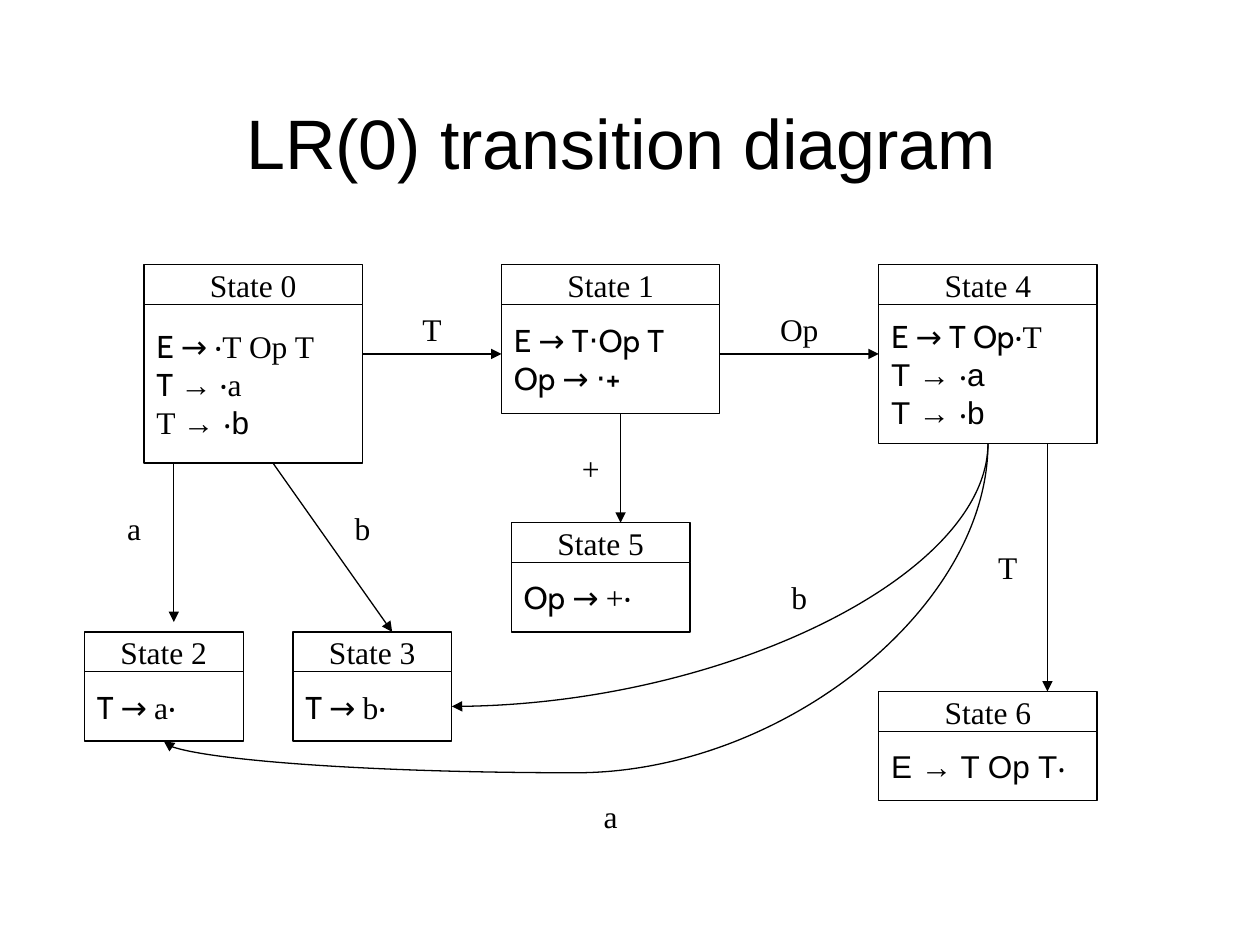
import pptx
import pptx.util
import pptx.dml.color
import pptx.enum.shapes
import pptx.enum.text
import pptx.oxml
import pptx.oxml.ns

BLACK = pptx.dml.color.RGBColor(0, 0, 0)
WHITE = pptx.dml.color.RGBColor(255, 255, 255)
SERIF, SANS, CABIN = "Times New Roman", "Arial", "Cabin"

TITLE = "LR(0) transition diagram"

# All diagram places are (column, row) on a square grid.
LEFT, TOP, CELL = 0.67, 2.1, 0.0788
HEADER_ROWS = 4
LABEL_SIZE = (4, 3)

# name, column, row, columns, body rows, items; an item is a list of (text, font)
STATES = [
    ("State 0", 6, 0, 22, 16, [[("E → ", CABIN), ("‧T Op T", SERIF)],
                               [("T ", CABIN), ("→ ‧a", SERIF)],
                               [("T ", SERIF), ("→ ‧b", SANS)]]),
    ("State 1", 42, 0, 22, 11, [[("E → T‧Op T", CABIN)], [("Op → ‧+", CABIN)]]),
    ("State 4", 80, 0, 22, 14, [[("E → T Op", CABIN), ("‧T", SERIF)],
                                [("T → ‧a", SANS)], [("T → ‧b", SANS)]]),
    ("State 6", 80, 43, 22, 7, [[("E → T Op T‧", SANS)]]),
    ("State 2", 0, 37, 16, 7, [[("T → ", CABIN), ("a‧", SERIF)]]),
    ("State 3", 21, 37, 16, 7, [[("T → ", CABIN), ("b‧", SERIF)]]),
    ("State 5", 43, 26, 18, 7, [[("Op → ", CABIN), ("+‧", SERIF)]]),
]

# label, label place, arrow start, arrow end
STRAIGHT_TRANSITIONS = [
    ("T", (33, 5), (28, 9), (42, 9)),
    ("Op", (70, 5), (64, 9), (80, 9)),
    ("T", (91, 29), (97, 18), (97, 43)),
    ("+", (49, 19), (54, 15), (54, 26)),
    ("a", (3, 25), (9, 20), (9, 36)),
    ("b", (26, 25), (19, 20), (31, 37)),
]

# label, label place, arrow start, arrow end, preset curve, bend (share of the drop)
CURVED_TRANSITIONS = [
    ("b", (70, 32), (91, 18), (37, 44.5), "curvedConnector2", None),
    ("a", (51, 54), (91, 18), (8, 48), "curvedConnector3", 1.106),
]


def span(cells):
    return pptx.util.Inches(cells * CELL)


def place(column, row):
    return (pptx.util.Inches(LEFT + column * CELL),
            pptx.util.Inches(TOP + row * CELL))


def write(text_frame, lines, alignment, size=18):
    """Fill a text frame with lines, each a list of (text, font) runs."""
    for index, line in enumerate(lines):
        paragraph = text_frame.paragraphs[0] if index == 0 else text_frame.add_paragraph()
        paragraph.alignment = alignment
        for text, font in line:
            run = paragraph.add_run()
            run.text = text
            run.font.name = font
            run.font.size = pptx.util.Pt(size)
            run.font.color.rgb = BLACK


def add_box(slide, column, row, columns, rows, lines, line_color=BLACK, centred=True):
    shape = slide.shapes.add_shape(
        pptx.enum.shapes.MSO_SHAPE.RECTANGLE,
        *place(column, row), span(columns), span(rows))
    shape.shadow.inherit = False
    shape.fill.solid()
    shape.fill.fore_color.rgb = WHITE
    shape.line.color.rgb = line_color
    shape.line.width = pptx.util.Pt(0.75)
    text_frame = shape.text_frame
    text_frame.vertical_anchor = pptx.enum.text.MSO_ANCHOR.MIDDLE
    text_frame.word_wrap = not centred
    align = pptx.enum.text.PP_ALIGN
    write(text_frame, lines, align.CENTER if centred else align.LEFT)


def add_label(slide, text, position):
    add_box(slide, *position, *LABEL_SIZE, [[(text, SERIF)]], line_color=WHITE)


def add_arrow(slide, kind, start, end):
    connector = slide.shapes.add_connector(kind, *place(*start), *place(*end))
    connector.line.color.rgb = BLACK
    connector.line.width = pptx.util.Pt(0.75)
    tail = pptx.oxml.parse_xml(
        f'<a:tailEnd {pptx.oxml.ns.nsdecls("a")} type="triangle"/>')
    connector.line._get_or_add_ln().append(tail)
    properties = connector._element.spPr
    properties.append(pptx.oxml.parse_xml(
        f'<a:effectLst {pptx.oxml.ns.nsdecls("a")}/>'))
    return connector


def add_curve(slide, start, end, preset, bend):
    """Draw a curve that leaves downwards: a preset turned by 90 degrees."""
    middle_x, middle_y = ((a + b) / 2 for a, b in zip(start, end))
    half_width = (end[1] - start[1]) / 2
    half_height = (start[0] - end[0]) / 2
    connector = add_arrow(
        slide, pptx.enum.shapes.MSO_CONNECTOR.CURVE,
        (middle_x - half_width, middle_y - half_height),
        (middle_x + half_width, middle_y + half_height))
    properties = connector._element.spPr
    properties.find(pptx.oxml.ns.qn("a:xfrm")).set("rot", str(90 * 60000))
    geometry = properties.find(pptx.oxml.ns.qn("a:prstGeom"))
    geometry.set("prst", preset)
    if bend is not None:
        adjustments = geometry.find(pptx.oxml.ns.qn("a:avLst"))
        adjustments.append(pptx.oxml.parse_xml(
            f'<a:gd {pptx.oxml.ns.nsdecls("a")} name="adj1" '
            f'fmla="val {round(bend * 100000)}"/>'))


def add_title(slide):
    box = slide.shapes.add_textbox(*(pptx.util.Inches(n) for n in (0.43, 0.21, 9, 1.25)))
    text_frame = box.text_frame
    text_frame.word_wrap = True
    text_frame.vertical_anchor = pptx.enum.text.MSO_ANCHOR.BOTTOM
    text_frame.margin_bottom = 0
    write(text_frame, [[(TITLE, SANS)]], pptx.enum.text.PP_ALIGN.CENTER, size=40)


def main():
    presentation = pptx.Presentation()
    presentation.slide_width = pptx.util.Inches(10)
    presentation.slide_height = pptx.util.Inches(7.5)
    slide = presentation.slides.add_slide(presentation.slide_layouts[6])

    add_title(slide)
    for name, column, row, columns, body_rows, items in STATES:
        add_box(slide, column, row, columns, HEADER_ROWS, [[(name, SERIF)]])
        add_box(slide, column, row + HEADER_ROWS, columns, body_rows, items, centred=False)
    for label, position, start, end in STRAIGHT_TRANSITIONS:
        add_arrow(slide, pptx.enum.shapes.MSO_CONNECTOR.STRAIGHT, start, end)
        add_label(slide, label, position)
    for label, position, *curve in CURVED_TRANSITIONS:
        add_curve(slide, *curve)
        add_label(slide, label, position)

    presentation.save("out.pptx")


if __name__ == "__main__":
    main()
